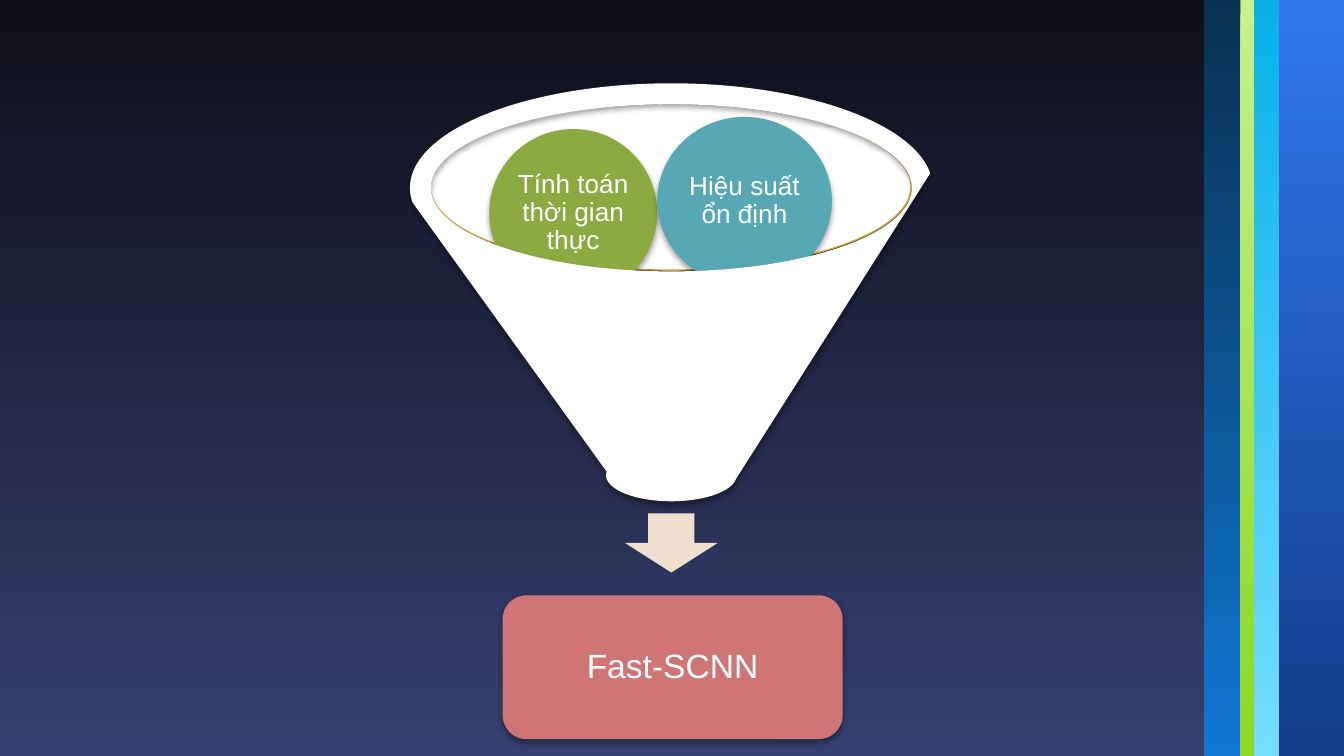
from lxml.etree import SubElement
from pptx import Presentation
from pptx.dml.color import RGBColor
from pptx.enum.shapes import MSO_SHAPE
from pptx.enum.text import MSO_ANCHOR, PP_ALIGN
from pptx.oxml.ns import qn
from pptx.util import Inches, Pt

WIDTH = 10
HEIGHT = WIDTH * 9 / 16
BANDS = [
    (-0.01, 10.01, "0E0F18", "364072"),
    (9.51, 0.49, "3177EE", "113D8A"),
    (9.32, 0.2, "09B1E9", "75DDFF"),
    (9.23, 0.1, "C6F18D", "8AD824"),
    (8.96, 0.27, "093153", "1077D2"),
]
BALLS = [
    ((4.35, 2.11, 1.25, 1.25), "D89F39", ""),
    ((3.64, 0.96, 1.25, 1.25), "8BAB42", "Tính toán thời gian thực"),
    ((4.89, 0.87, 1.3, 1.25), "57A7B5", "Hiệu suất ổn định"),
]
RESULT = "Fast-SCNN"


def color(value):
    """Turn a hex string into a colour."""
    return RGBColor.from_string(value)


def add_figure(slide, kind, box, fill=None):
    """Add a preset shape with no outline and no shadow."""
    shape = slide.shapes.add_shape(kind, *map(Inches, box))
    shape.shadow.inherit = False
    shape.line.fill.background()
    if fill:
        shape.fill.solid()
        shape.fill.fore_color.rgb = color(fill)
    return shape


def add_band(slide, left, width, top_color, bottom_color):
    """Add a full-height rectangle shaded from top to bottom."""
    band = add_figure(slide, MSO_SHAPE.RECTANGLE, (left, 0, width, HEIGHT))
    band.fill.gradient()
    band.fill.gradient_angle = 270
    for stop, value in zip(band.fill.gradient_stops, (top_color, bottom_color)):
        stop.color.rgb = color(value)


def add_shadow(shape, opacity=35):
    """Give the shape a soft shadow that falls straight down."""
    effects = shape._element.spPr.find(qn("a:effectLst"))
    shadow = SubElement(effects, qn("a:outerShdw"), blurRad=str(Pt(3.1)),
                        dist=str(Pt(1.8)), dir="5400000", rotWithShape="0")
    black = SubElement(shadow, qn("a:srgbClr"), val="000000")
    SubElement(black, qn("a:alpha"), val=str(opacity * 1000))


def add_text(shape, text, size, inset):
    """Write centred white text inside the shape."""
    frame = shape.text_frame
    frame.word_wrap = True
    frame.vertical_anchor = MSO_ANCHOR.MIDDLE
    frame.margin_left = frame.margin_right = Inches(inset)
    frame.margin_top = frame.margin_bottom = Inches(inset)
    paragraph = frame.paragraphs[0]
    paragraph.alignment = PP_ALIGN.CENTER
    paragraph.line_spacing = 0.9
    run = paragraph.add_run()
    run.text = text
    run.font.name = "Arial"
    run.font.size = Pt(size)
    run.font.color.rgb = color("FFFFFF")


def main():
    """Build the funnel slide."""
    presentation = Presentation()
    presentation.slide_width = Inches(WIDTH)
    presentation.slide_height = Inches(HEIGHT)
    slide = presentation.slides.add_slide(presentation.slide_layouts[6])

    for band in BANDS:
        add_band(slide, *band)

    mouth = add_figure(slide, MSO_SHAPE.OVAL, (3.2, 0.77, 3.58, 1.24), "FFFFFF")
    mouth.line.color.rgb = color("D79D34")
    mouth.line.width = Pt(0.75)
    add_figure(slide, MSO_SHAPE.DOWN_ARROW, (4.65, 3.82, 0.69, 0.44), "F0DFCE")

    for box, fill, text in BALLS:
        ball = add_figure(slide, MSO_SHAPE.OVAL, box, fill)
        add_shadow(ball)
        if text:
            add_text(ball, text, 14, 0.02)

    funnel = add_figure(slide, MSO_SHAPE.FUNNEL, (3.05, 0.62, 3.89, 3.11), "FFFFFF")
    add_shadow(funnel, 38)

    result = add_figure(slide, MSO_SHAPE.ROUNDED_RECTANGLE, (3.74, 4.43, 2.53, 1.07), "D07576")
    add_shadow(result)
    add_text(result, RESULT, 18, 0.2)

    presentation.save("out.pptx")


if __name__ == "__main__":
    main()
